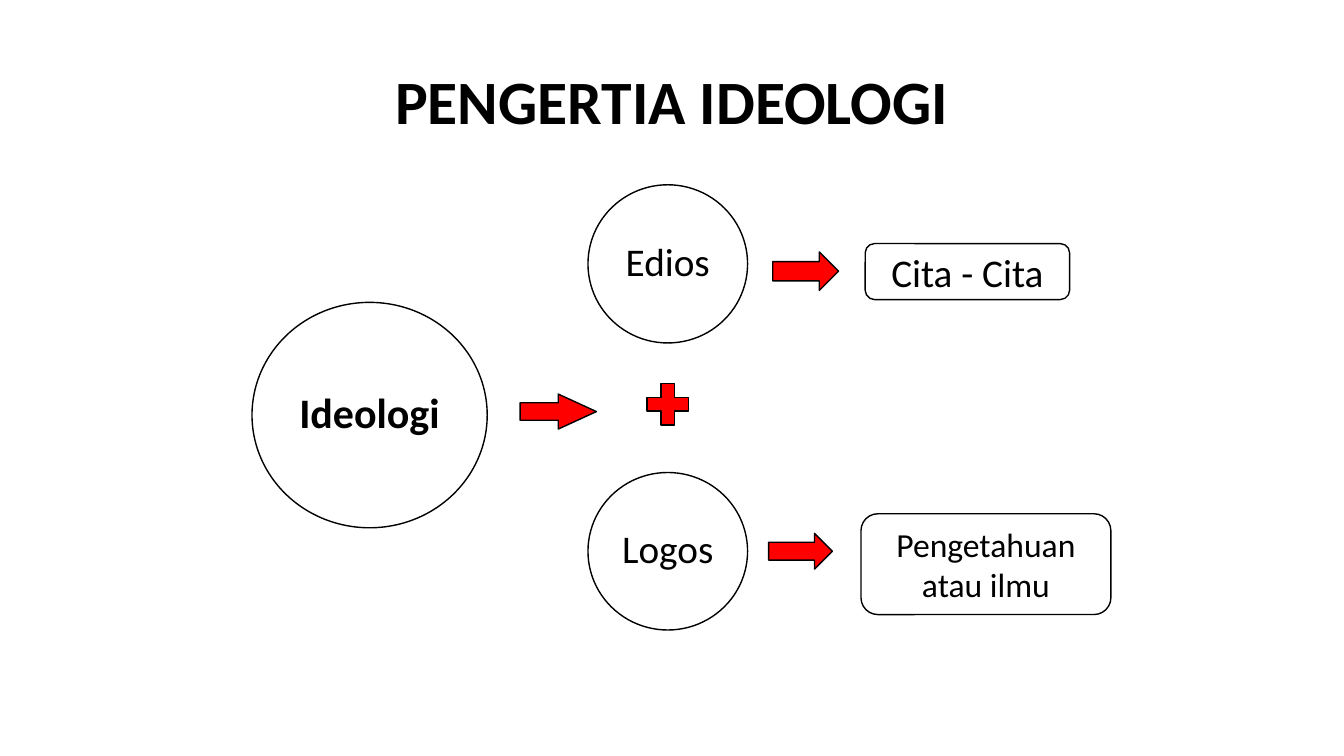
from pptx import Presentation
from pptx.dml.color import RGBColor
from pptx.enum.shapes import MSO_SHAPE
from pptx.enum.text import MSO_ANCHOR, MSO_AUTO_SIZE, PP_ALIGN
from pptx.util import Pt

COLORS = {"ink": "000000", "paper": "FFFFFF", "accent": "FF0000"}
FONT = "Calibri"


def rgb(name):
    return RGBColor.from_string(COLORS[name])


def place(sp, box):
    sp.left, sp.top, sp.width, sp.height = [Pt(v) for v in box]


def write(sp, text, size, bold=False, spacing=1.0, margins=(7.2, 3.6)):
    tf = sp.text_frame
    tf.word_wrap = True
    tf.auto_size = MSO_AUTO_SIZE.NONE
    tf.vertical_anchor = MSO_ANCHOR.MIDDLE
    tf.margin_left = tf.margin_right = Pt(margins[0])
    tf.margin_top = tf.margin_bottom = Pt(margins[1])
    p = tf.paragraphs[0]
    p.alignment = PP_ALIGN.CENTER
    p.line_spacing = spacing
    r = p.add_run()
    r.text = text
    r.font.name = FONT
    r.font.size = Pt(size)
    r.font.bold = bold
    r.font.color.rgb = rgb("ink")


def add_outlined(slide, kind, box, fill, adjustments=()):
    sp = slide.shapes.add_shape(kind, *[Pt(v) for v in box])
    sp.shadow.inherit = False
    sp.fill.solid()
    sp.fill.fore_color.rgb = rgb(fill)
    sp.line.color.rgb = rgb("ink")
    sp.line.width = Pt(1)
    for i, value in enumerate(adjustments):
        sp.adjustments[i] = value
    return sp


def add_circle(slide, text, box, size=28, bold=False):
    sp = add_outlined(slide, MSO_SHAPE.OVAL, box, "paper")
    write(sp, text, size, bold, spacing=0.9, margins=(0, 0))


def add_meaning(slide, text, box, size):
    sp = add_outlined(slide, MSO_SHAPE.ROUNDED_RECTANGLE, box, "paper", [0.167])
    write(sp, text, size)


def add_arrow(slide, box, head=0.5):
    add_outlined(slide, MSO_SHAPE.RIGHT_ARROW, box, "accent", [0.5, head])


def add_plus(slide, box):
    add_outlined(slide, MSO_SHAPE.CROSS, box, "accent", [0.34])


def add_title(slide, text, box):
    sp = slide.shapes.title
    place(sp, box)
    write(sp, text, 44, bold=True, spacing=0.9)


def main():
    prs = Presentation()
    prs.slide_width, prs.slide_height = Pt(960), Pt(540)
    slide = prs.slides.add_slide(prs.slide_layouts[5])
    add_title(slide, "PENGERTIA IDEOLOGI", (156, 30, 648, 90))

    add_circle(slide, "Edios", (420, 132, 114, 113))
    add_plus(slide, (462.2, 274, 29.5, 29.5))
    add_circle(slide, "Logos", (420, 337.5, 114, 112.5))
    add_arrow(slide, (371.5, 281.5, 54.5, 25), head=1.09)
    add_circle(slide, "Ideologi", (180, 216, 168, 161), size=30, bold=True)

    add_meaning(slide, "Cita - Cita", (618, 174, 146, 40), 28)
    add_meaning(slide, "Pengetahuan atau ilmu", (615, 367, 178.5, 72), 24)
    add_arrow(slide, (552, 180, 47, 27.5))
    add_arrow(slide, (549, 381, 45.5, 25.5))
    prs.save("out.pptx")


main()
